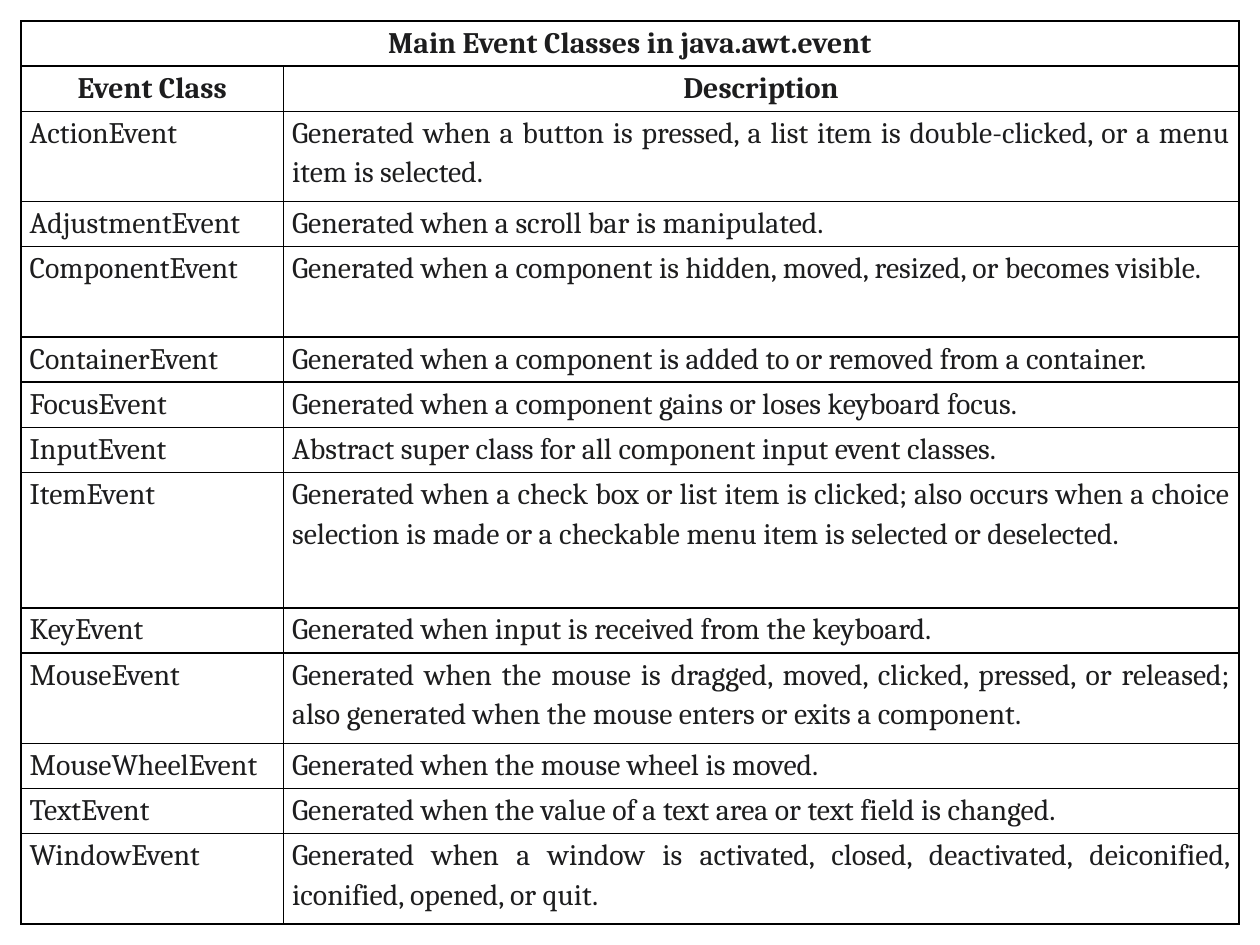
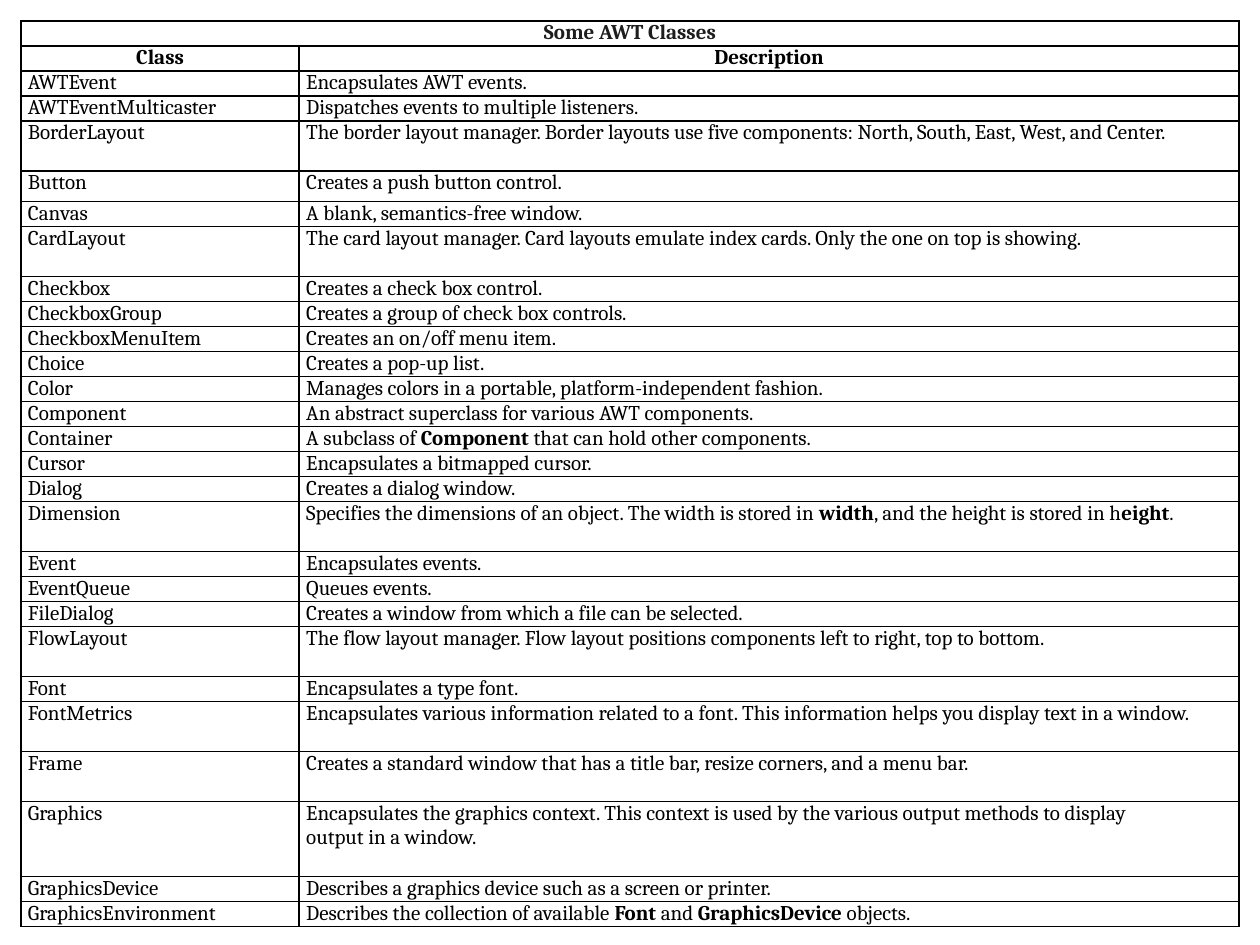
from lxml import etree
from pptx import Presentation
from pptx.dml.color import RGBColor
from pptx.enum.text import MSO_ANCHOR, PP_ALIGN
from pptx.oxml.ns import qn
from pptx.util import Pt

CENTER, JUSTIFY = PP_ALIGN.CENTER, PP_ALIGN.JUSTIFY
TOP = MSO_ANCHOR.TOP

COLORS = {"ink": "1D1D1E", "black": "000000"}
FONT = "Cambria"
MARGIN = 12
TABLE_WIDTH = 696

# Each row: class name, description, height in row units.
# ** switches bold on and off, a line break starts a paragraph.
EVENT_CLASSES = [
    ("ActionEvent", "Generated when a button is pressed, a list item is "
     "double-clicked, or a menu item is selected.", 2),
    ("AdjustmentEvent", "Generated when a scroll bar is manipulated.", 1),
    ("ComponentEvent", "Generated when a component is hidden, moved, resized, "
     "or becomes visible.", 2),
    ("ContainerEvent", "Generated when a component is added to or removed "
     "from a container.", 1),
    ("FocusEvent", "Generated when a component gains or loses keyboard focus.", 1),
    ("InputEvent", "Abstract super class for all component input event classes.", 1),
    ("ItemEvent", "Generated when a check box or list item is clicked; also "
     "occurs when a choice selection is made or a checkable menu item is "
     "selected or deselected.", 3),
    ("KeyEvent", "Generated when input is received from the keyboard.", 1),
    ("MouseEvent", "Generated when the mouse is dragged, moved, clicked, "
     "pressed, or released; also generated when the mouse enters or exits "
     "a component.", 2),
    ("MouseWheelEvent", "Generated when the mouse wheel is moved.", 1),
    ("TextEvent", "Generated when the value of a text area or text field is "
     "changed.", 1),
    ("WindowEvent", "Generated when a window is activated, closed, deactivated, "
     "deiconified, iconified, opened, or quit.", 2),
]

AWT_CLASSES = [
    ("AWTEvent", "Encapsulates AWT events.", 1),
    ("AWTEventMulticaster", "Dispatches events to multiple listeners.", 1),
    ("BorderLayout", "The border layout manager. Border layouts use five "
     "components: North, South, East, West, and Center.", 2),
    ("Button", "Creates a push button control.", 1.22),
    ("Canvas", "A blank, semantics-free window.", 1),
    ("CardLayout", "The card layout manager. Card layouts emulate index cards. "
     "Only the one on top is showing.", 2),
    ("Checkbox", "Creates a check box control.", 1),
    ("CheckboxGroup", "Creates a group of check box controls.", 1),
    ("CheckboxMenuItem", "Creates an on/off menu item.", 1),
    ("Choice", "Creates a pop-up list.", 1),
    ("Color", "Manages colors in a portable, platform-independent fashion.", 1),
    ("Component", "An abstract superclass for various AWT components.", 1),
    ("Container", "A subclass of **Component **that can hold other components.", 1),
    ("Cursor", "Encapsulates a bitmapped cursor.", 1),
    ("Dialog", "Creates a dialog window.", 1),
    ("Dimension", "Specifies the dimensions of an object. The width is stored "
     "in **width**, and the height is stored in h**eight**.", 2),
    ("Event", "Encapsulates events.", 1),
    ("EventQueue", "Queues events.", 1),
    ("FileDialog", "Creates a window from which a file can be selected.", 1),
    ("FlowLayout", "The flow layout manager. Flow layout positions components "
     "left to right, top to bottom.", 2),
    ("Font", "Encapsulates a type font.", 1),
    ("FontMetrics", "Encapsulates various information related to a font. This "
     "information helps you display text in a window.", 2),
    ("Frame", "Creates a standard window that has a title bar, resize corners, "
     "and a menu bar.", 2),
    ("Graphics", "Encapsulates the graphics context. This context is used by "
     "the various output methods to display\noutput in a window.", 3),
    ("GraphicsDevice", "Describes a graphics device such as a screen or printer.", 1),
    ("GraphicsEnvironment", "Describes the collection of available **Font **and "
     "**GraphicsDevice **objects.", 1),
]


class Deck:
    def __init__(self):
        self.prs = Presentation()
        self.prs.slide_width, self.prs.slide_height = Pt(720), Pt(540)
        self.s = None

    def slide(self, size, inset, spacing, color):
        """Start a slide and set the text style of its table."""
        self.s = self.prs.slides.add_slide(self.prs.slide_layouts[6])
        self.size, self.inset = size, inset
        self.spacing, self.color = spacing, color

    def borders(self, cell):
        tcPr = cell._tc.get_or_add_tcPr()
        for side in ("a:lnL", "a:lnR", "a:lnT", "a:lnB"):
            ln = etree.SubElement(tcPr, qn(side), w=str(Pt(1)))
            fill = etree.SubElement(ln, qn("a:solidFill"))
            etree.SubElement(fill, qn("a:srgbClr"), val=COLORS["black"])

    def text(self, cell, text, align, bold, color):
        tf = cell.text_frame
        for i, line in enumerate(text.split("\n")):
            p = tf.add_paragraph() if i else tf.paragraphs[0]
            p.alignment, p.line_spacing = align, self.spacing
            for j, part in enumerate(line.split("**")):
                r = p.add_run()
                r.text = part
                r.font.name, r.font.size = FONT, Pt(self.size)
                r.font.bold = bold or j % 2 == 1
                r.font.color.rgb = RGBColor.from_string(COLORS[color])

    def cell(self, cell, text, heading=False, color=None):
        cell.margin_left = cell.margin_right = Pt(self.inset)
        cell.margin_top = cell.margin_bottom = 0
        cell.vertical_anchor = TOP
        self.borders(cell)
        cell.fill.background()
        if text:
            self.text(cell, text, CENTER if heading else JUSTIFY, heading,
                      color or self.color)

    def table(self, title, headings, rows, name_width, unit):
        lines = [(title, "", 1), (*headings, 1), *rows]
        height = unit * sum(units for *_, units in lines)
        table = self.s.shapes.add_table(
            len(lines), 2, Pt(MARGIN), Pt(MARGIN), Pt(TABLE_WIDTH), Pt(height)).table
        table.first_row = table.horz_banding = False
        table.columns[0].width = Pt(name_width)
        table.columns[1].width = Pt(TABLE_WIDTH - name_width)
        for i, (*texts, units) in enumerate(lines):
            table.rows[i].height = Pt(unit * units)
            for j, text in enumerate(texts):
                self.cell(table.cell(i, j), text, i < 2, None if i else "ink")
        table.cell(0, 0).merge(table.cell(0, 1))


def main():
    deck = Deck()

    # Event classes
    deck.slide(size=17, inset=5, spacing=1.15, color="ink")
    deck.table("Main Event Classes in java.awt.event",
               ("Event Class", "Description"), EVENT_CLASSES, 150, 25.8)

    # AWT classes
    deck.slide(size=12, inset=4, spacing=1.0, color="black")
    deck.table("Some AWT Classes", ("Class", "Description"), AWT_CLASSES, 159, 14.3)

    deck.prs.save("out.pptx")


if __name__ == "__main__":
    main()
